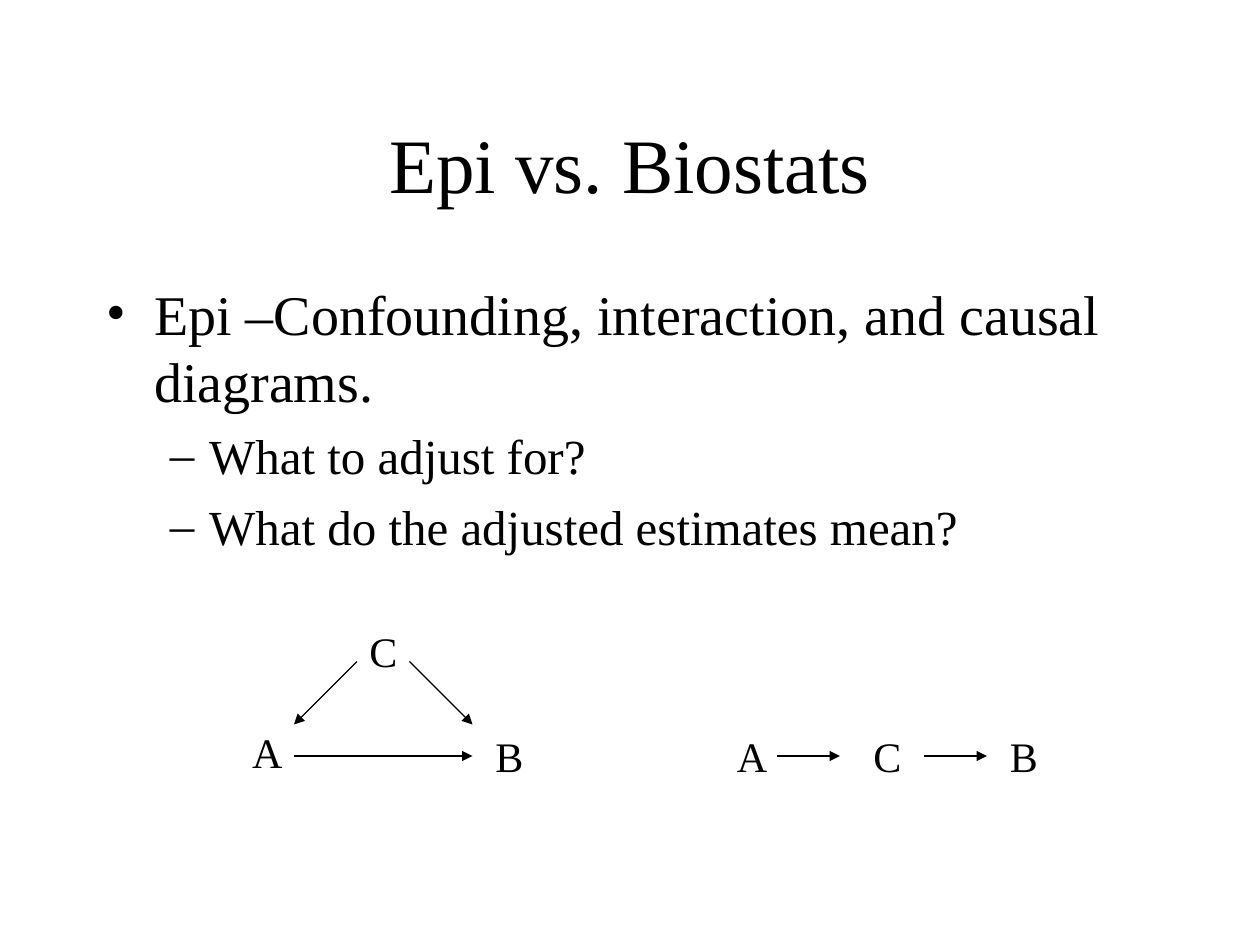
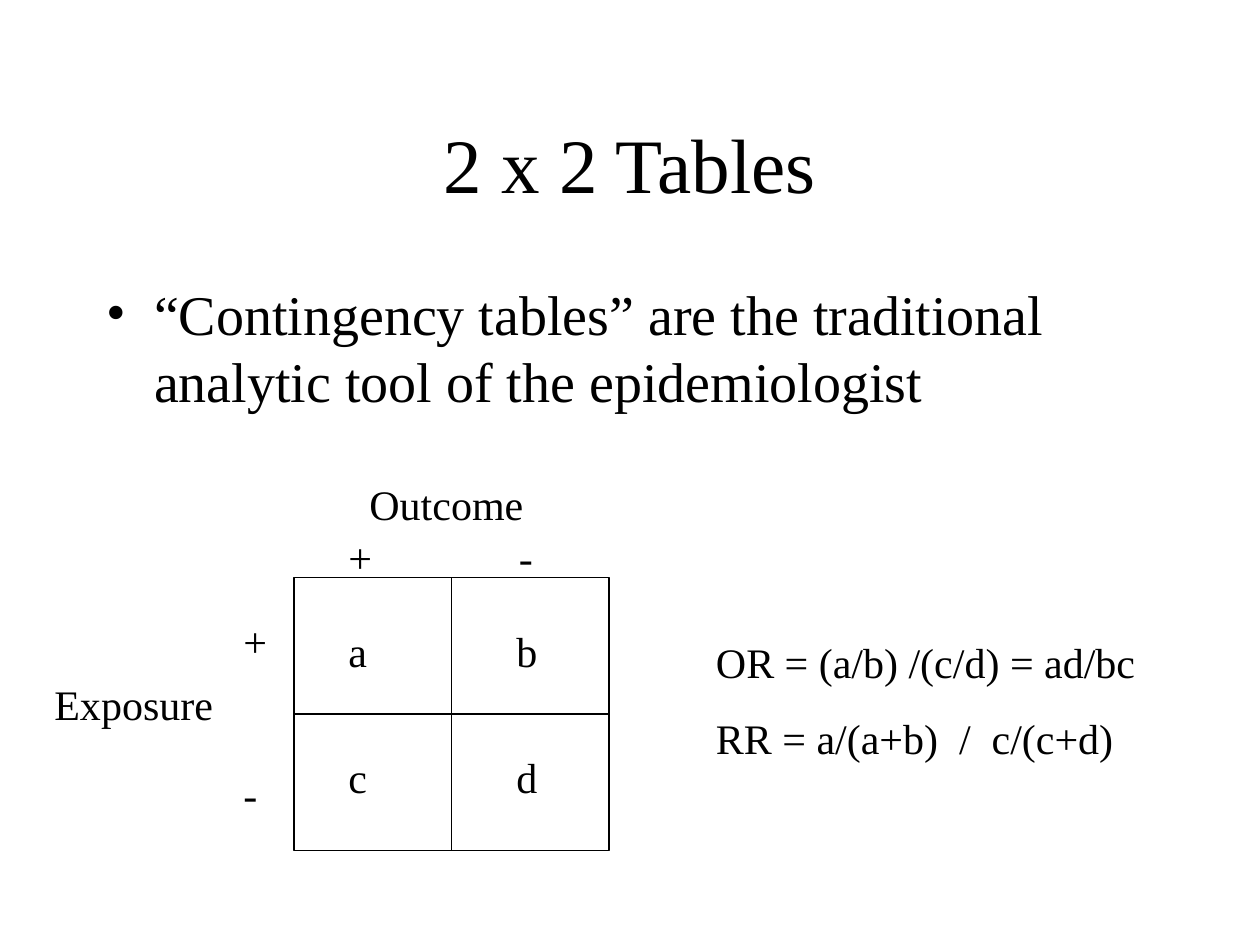
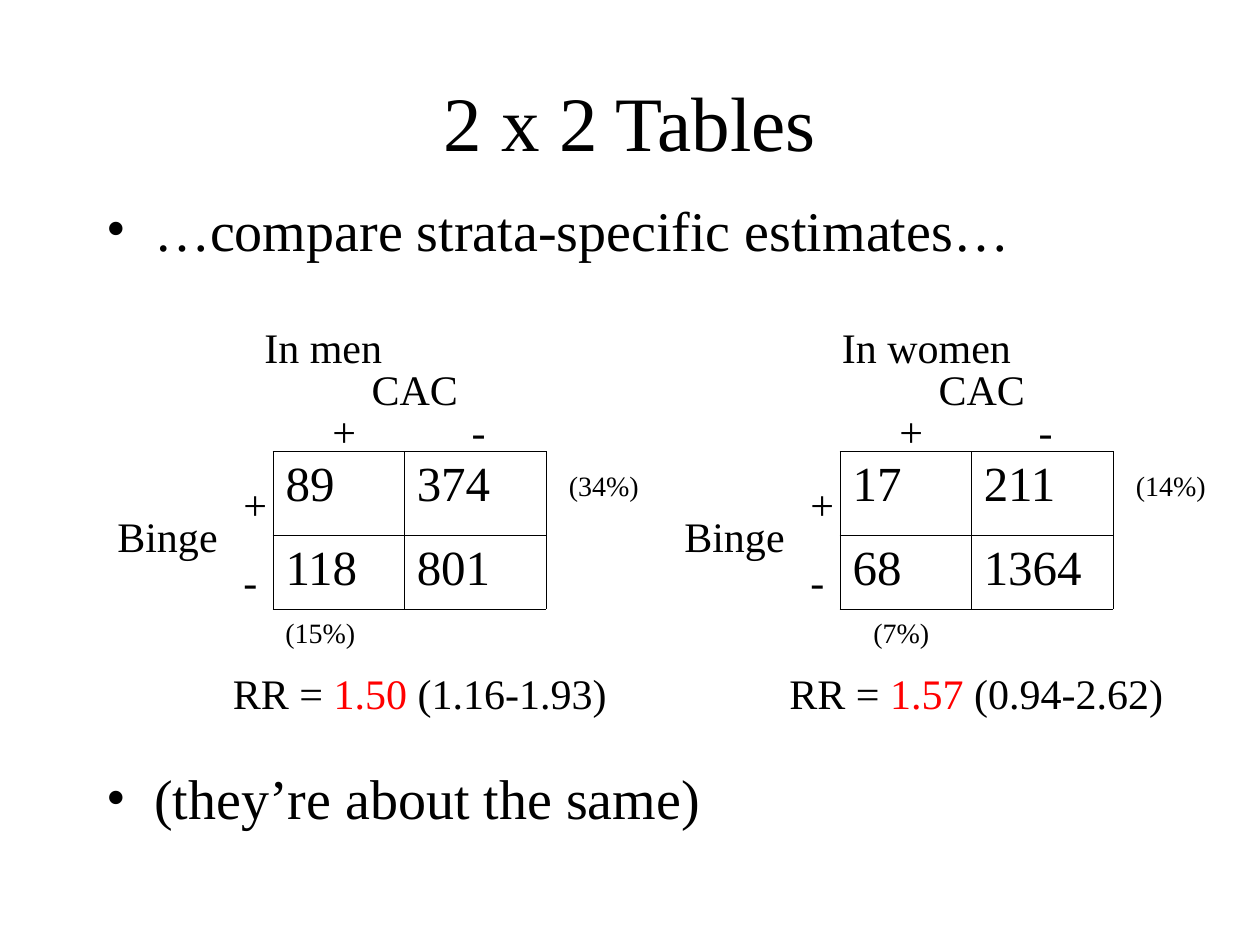
from dataclasses import dataclass

from lxml.etree import SubElement
from pptx import Presentation
from pptx.dml.color import RGBColor
from pptx.enum.shapes import MSO_CONNECTOR, MSO_SHAPE
from pptx.enum.text import MSO_ANCHOR, MSO_AUTO_SIZE, PP_ALIGN
from pptx.oxml import parse_xml
from pptx.oxml.ns import nsdecls, qn
from pptx.util import Pt


@dataclass(frozen=True)
class Theme:
    font: str = "Times New Roman"
    ink: str = "000000"
    accent: str = "FF0000"
    title: int = 44
    body: int = 32
    sub: int = 28
    label: int = 24
    note: int = 16
    line: float = 0.74
    border: float = 0.45
    leading: float = 1.2
    gap: int = 15


theme = Theme()

# Bullet levels: mark, size, left margin, hanging indent, space before
LEVELS = [("•", theme.body, 27, -27, 8), ("–", theme.sub, 58.5, -22.5, 7)]
TITLE = {"size": theme.title, "align": PP_ALIGN.CENTER, "anchor": MSO_ANCHOR.MIDDLE, "grow": False}
FIXED = {"grow": False}


def add_text(page, frame, lines, size=theme.label, align=PP_ALIGN.LEFT, anchor=MSO_ANCHOR.TOP,
             grow=True, before=theme.gap, tab=None, inset=7.2):
    """A line is a string, a list of (text, colour) spans, or (level, text, extra space before)."""
    box = page.shapes.add_textbox(*map(Pt, frame)).text_frame
    formats = {"word_wrap": True, "vertical_anchor": anchor, "margin_left": Pt(inset),
               "auto_size": MSO_AUTO_SIZE.SHAPE_TO_FIT_TEXT if grow else MSO_AUTO_SIZE.NONE}
    for name, value in formats.items():
        setattr(box, name, value)
    for index, line in enumerate(lines):
        para = box.paragraphs[0] if index == 0 else box.add_paragraph()
        para.alignment = align
        points, space = size, before
        properties = para._p.get_or_add_pPr()
        if isinstance(line, tuple):
            level, line, extra = line
            mark, points, margin, indent, space = LEVELS[level]
            space += extra
            properties.set("marL", str(Pt(margin)))
            properties.set("indent", str(Pt(indent)))
            colour = SubElement(properties, qn("a:buClr"))
            SubElement(colour, qn("a:srgbClr")).set("val", theme.ink)
            SubElement(properties, qn("a:buFont")).set("typeface", theme.font)
            SubElement(properties, qn("a:buChar")).set("char", mark)
        if index:
            para.space_before = Pt(space)
        if tab:
            stop = SubElement(SubElement(properties, qn("a:tabLst")), qn("a:tab"))
            stop.set("pos", str(Pt(tab)))
            stop.set("algn", "l")
        for text, colour in [(line, theme.ink)] if isinstance(line, str) else line:
            span = para.add_run()
            span.text = text
            for name, value in {"name": theme.font, "size": Pt(points)}.items():
                setattr(span.font, name, value)
            span.font.color.rgb = RGBColor.from_string(colour)


def add_line(page, ends, arrow=False):
    line = page.shapes.add_connector(MSO_CONNECTOR.STRAIGHT, *map(Pt, ends))
    line.line.width = Pt(theme.line)
    line.line.color.rgb = RGBColor.from_string(theme.ink)
    if arrow:
        SubElement(line.line._get_or_add_ln(), qn("a:tailEnd")).set("type", "triangle")
    SubElement(line._element.spPr, qn("a:effectLst"))


deck = Presentation()
deck.slide_width, deck.slide_height = Pt(720), Pt(540)
blank = deck.slide_layouts[6]

# Slide 1: title and bullets
page = deck.slides.add_slide(blank)
add_text(page, (54, 48, 612, 90), ["Epi vs. Biostats"], **TITLE)
add_text(page, (54, 156, 612, 324), [
    (0, "Epi –Confounding, interaction, and causal diagrams.", 0),
    (1, "What to adjust for?", 0),
    (1, "What do the adjusted estimates mean?", 0),
], **FIXED)

# Causal diagrams: confounder triangle, then mediator chain
nodes = [("A", 137, 411.5), ("B", 276, 414), ("C", 204, 354),
         ("A", 414, 414), ("C", 492, 414), ("B", 570, 414)]
for name, left, top in nodes:
    add_text(page, (left, top, 33, 36), [name])
for ends in [(168, 432, 270, 432), (204, 378, 168, 414), (234, 378, 270, 414),
             (444, 432, 480, 432), (528, 432, 564, 432)]:
    add_line(page, ends, arrow=True)

# Slide 2: title and bullet
page = deck.slides.add_slide(blank)
add_text(page, (54, 48, 612, 90), ["2 x 2 Tables"], **TITLE)
add_text(page, (54, 156, 612, 324), [
    (0, "“Contingency tables” are the traditional analytic tool of the epidemiologist", 0),
], **FIXED)

# Two-by-two grid
left, top, width, height = 168, 330, 180, 156
frame = page.shapes.add_shape(MSO_SHAPE.RECTANGLE, *map(Pt, (left, top, width, height)))
frame.shadow.inherit = False
frame.fill.background()
frame.line.width = Pt(theme.line)
frame.line.color.rgb = RGBColor.from_string(theme.ink)
add_line(page, (left + width / 2, top, left + width / 2, top + height))
add_line(page, (left, top + height / 2, left + width, top + height / 2))
for index, letter in enumerate("abcd"):
    row, column = divmod(index, 2)
    add_text(page, (192 + 96 * column, 354 + 72 * row, 36, 36), [letter])

# Grid labels and formulas
add_text(page, (204, 270, 114, 36), ["Outcome"])
add_text(page, (24, 384, 108, 36), ["Exposure"])
add_text(page, (192, 300, 144, 36), ["+\t-"], tab=97.5)
add_text(page, (132, 348, 54, 124), ["+", "-"], before=2 * theme.gap + theme.leading * theme.label)
add_text(page, (402, 360, 270, 80), ["OR = (a/b) /(c/d) = ad/bc", "RR = a/(a+b)  /  c/(c+d)"])

# Slide 3: title and bullets above and below the tables
page = deck.slides.add_slide(blank)
add_text(page, (54, 24, 612, 90), ["2 x 2 Tables"], **TITLE)
skipped = 6 * (theme.leading * theme.body + 8)
add_text(page, (54, 108, 612, 372), [
    (0, "…compare strata-specific estimates…", 0),
    (0, "(they’re about the same)", skipped),
], **FIXED)

# One table per stratum: shift, heading and its left, counts, row shares, ratio and its left
strata = [
    (0, "In men", 144, [["89", "374"], ["118", "801"]],
     "(34%)", "(15%)", 156, "1.50", " (1.16-1.93)", 126),
    (324, "In women", 474, [["17", "211"], ["68", "1364"]],
     "(14%)", "(7%)", 492, "1.57", " (0.94-2.62)", 444),
]
for (shift, heading, heading_left, counts, upper, lower, lower_left,
     ratio, interval, ratio_left) in strata:
    table = page.shapes.add_table(2, 2, Pt(156 + shift), Pt(258), Pt(156), Pt(90)).table
    table.first_row = table.horz_banding = False
    for column, width in zip(table.columns, (75, 81)):
        column.width = Pt(width)
    for row, height, values in zip(table.rows, (48, 42), counts):
        row.height = Pt(height)
        for cell, value in zip(row.cells, values):
            cell.fill.background()
            span = cell.text_frame.paragraphs[0].add_run()
            span.text = value
            for name, setting in {"name": theme.font, "size": Pt(theme.sub)}.items():
                setattr(span.font, name, setting)
            span.font.color.rgb = RGBColor.from_string(theme.ink)
            for index, side in enumerate("LRTB"):
                cell._tc.get_or_add_tcPr().insert(index, parse_xml(
                    f'<a:ln{side} {nsdecls("a")} w="{Pt(theme.border)}"><a:solidFill>'
                    f'<a:srgbClr val="{theme.ink}"/></a:solidFill></a:ln{side}>'))

    add_text(page, (heading_left, 180, 138, 36), [heading])
    add_text(page, (168 + shift, 204, 138, 36), ["CAC"], align=PP_ALIGN.CENTER)
    add_text(page, (60 + shift, 288, 78, 36), ["Binge"])
    add_text(page, (156 + shift, 228, 156, 36), ["+\t-"], tab=79.5, inset=34)
    add_text(page, (132 + shift, 270, 42, 80), ["+", "-"])
    for share, share_left, share_top in [(upper, 318 + shift, 264), (lower, lower_left, 348)]:
        add_text(page, (share_left, share_top, 60, 26.5), [share], size=theme.note)
    add_text(page, (ratio_left, 378, 240, 36),
             [[("RR = ", theme.ink), (ratio, theme.accent), (interval, theme.ink)]])

deck.save("out.pptx")
